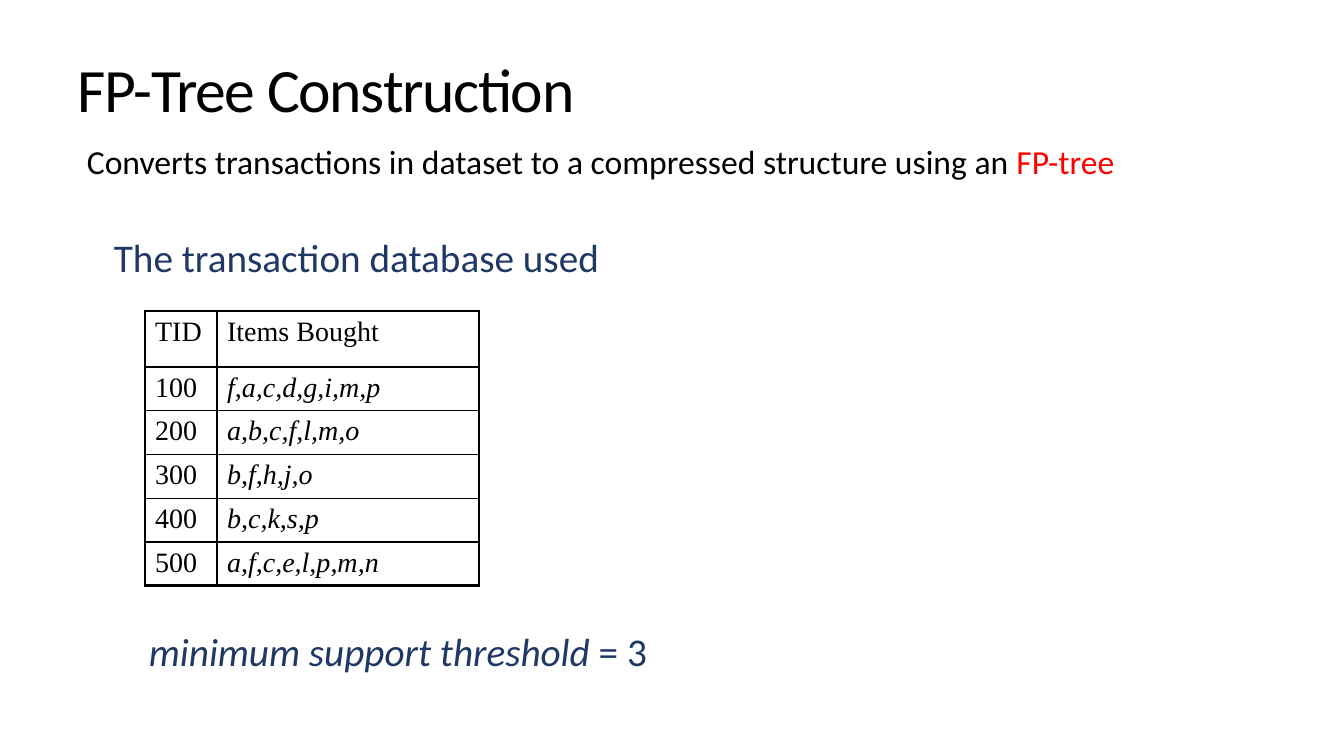
from lxml import etree
from pptx import Presentation
from pptx import util as u
from pptx.dml.color import RGBColor
from pptx.enum import text
from pptx.oxml.ns import qn

EMU_PER_PX = 914400 / 100.8
BLACK, NAVY, RED = "000000", "203864", "FF0000"
THIN, THICK = 1, 2.25

TRANSACTIONS = [
    ("TID", "Items Bought"),
    ("100", "f,a,c,d,g,i,m,p"),
    ("200", "a,b,c,f,l,m,o"),
    ("300", "b,f,h,j,o"),
    ("400", "b,c,k,s,p"),
    ("500", "a,f,c,e,l,p,m,n"),
]
COLUMN_WIDTHS = (72, 262)
HEADER_HEIGHT, ROW_HEIGHT = 56, 41


def px(length):
    return u.Emu(round(length * EMU_PER_PX))


def rgb(value):
    return RGBColor.from_string(value)


def add_run(paragraph, words, size=28, font="Calibri", color=BLACK,
            italic=False, spacing=None):
    """Append formatted text; spacing is in hundredths of a point."""
    run = paragraph.add_run()
    run.text = words
    run.font.size = u.Pt(size)
    run.font.name = font
    run.font.italic = italic
    run.font.color.rgb = rgb(color)
    if spacing is not None:
        run.font._element.set("spc", str(spacing))


def add_line(slide, left, top, width, height, pieces,
             line_spacing=1.0, anchor=text.MSO_ANCHOR.TOP):
    """Add a one-paragraph text box from (words, format) pieces."""
    box = slide.shapes.add_textbox(px(left), px(top), px(width), px(height))
    frame = box.text_frame
    frame.word_wrap = True
    frame.vertical_anchor = anchor
    paragraph = frame.paragraphs[0]
    paragraph.line_spacing = line_spacing
    for words, look in pieces:
        add_run(paragraph, words, **look)


def set_borders(cell, **widths):
    """Draw black borders; keys are the sides L, R, T and B, in points."""
    properties = cell._tc.get_or_add_tcPr()
    for side, width in widths.items():
        border = etree.SubElement(properties, qn(f"a:ln{side}"), w=str(u.Pt(width)))
        fill = etree.SubElement(border, qn("a:solidFill"))
        etree.SubElement(fill, qn("a:srgbClr"), val=BLACK)


def add_transactions(slide, left, top):
    last = len(TRANSACTIONS) - 1
    height = HEADER_HEIGHT + last * ROW_HEIGHT
    table = slide.shapes.add_table(
        len(TRANSACTIONS), len(COLUMN_WIDTHS),
        px(left), px(top), px(sum(COLUMN_WIDTHS)), px(height)).table
    table.first_row = table.horz_banding = False
    for column, width in zip(table.columns, COLUMN_WIDTHS):
        column.width = px(width)
    for r, record in enumerate(TRANSACTIONS):
        table.rows[r].height = px(ROW_HEIGHT if r else HEADER_HEIGHT)
        for c, words in enumerate(record):
            cell = table.cell(r, c)
            add_run(cell.text_frame.paragraphs[0], words, size=20,
                    font="Times New Roman", italic=r > 0 and c > 0)
            set_borders(cell, L=THIN if c else THICK, R=THIN,
                        T=THIN if r else THICK, B=THICK if r == last else THIN)
            cell.fill.background()


def main():
    deck = Presentation()
    deck.slide_width, deck.slide_height = px(1344), px(756)
    slide = deck.slides.add_slide(deck.slide_layouts[6])

    add_line(slide, 68, 30, 1210, 126,
             [("FP-Tree Construction", dict(size=44, spacing=-90))],
             line_spacing=0.9, anchor=text.MSO_ANCHOR.MIDDLE)
    add_line(slide, 104, 234, 927, 53,
             [("The transaction database used", dict(color=NAVY))],
             line_spacing=0.9)
    add_transactions(slide, 145, 311)
    add_line(slide, 139, 628, 892, 53,
             [("minimum support threshold", dict(color=NAVY, italic=True)),
              (" = 3", dict(color=NAVY))],
             line_spacing=0.9)
    add_line(slide, 77, 136, 1232, 50,
             [("Converts transactions in dataset to a compressed structure using an ",
               dict(size=24)),
              ("FP-tree", dict(size=24, color=RED))])

    deck.save("out.pptx")


if __name__ == "__main__":
    main()
